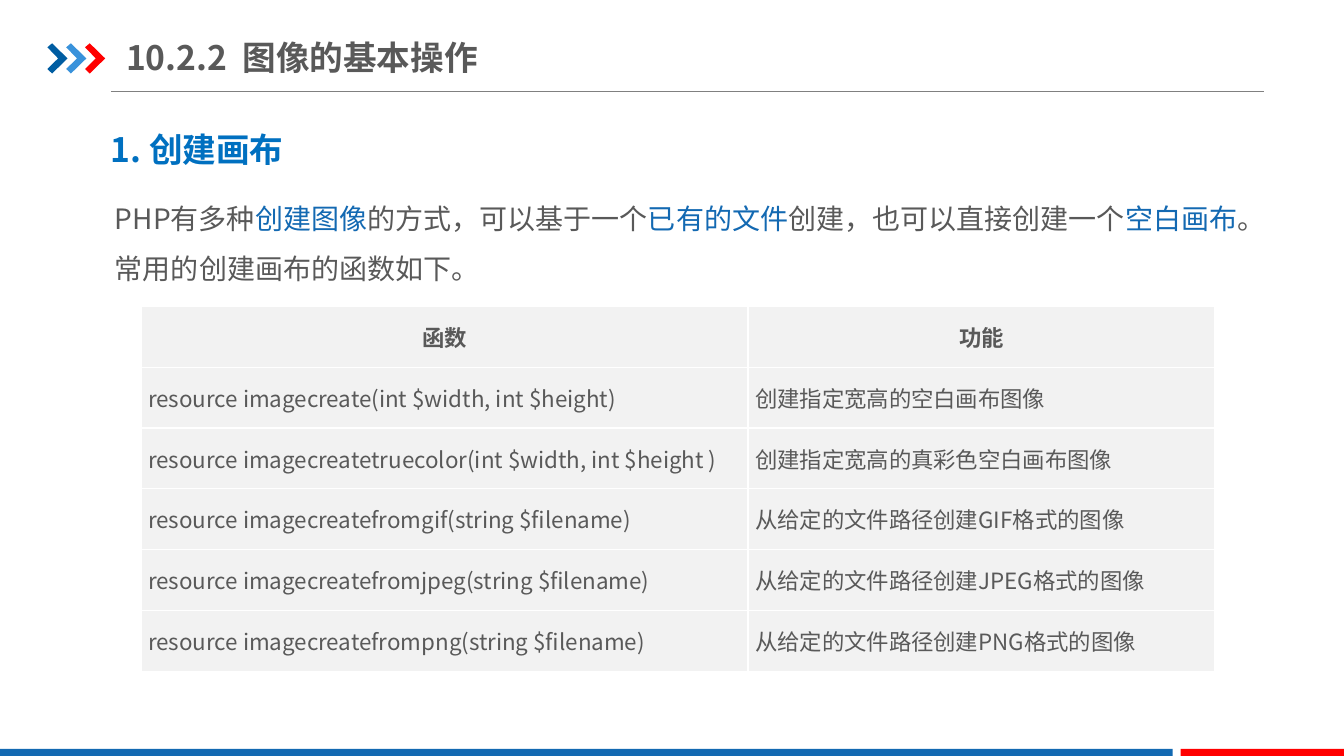
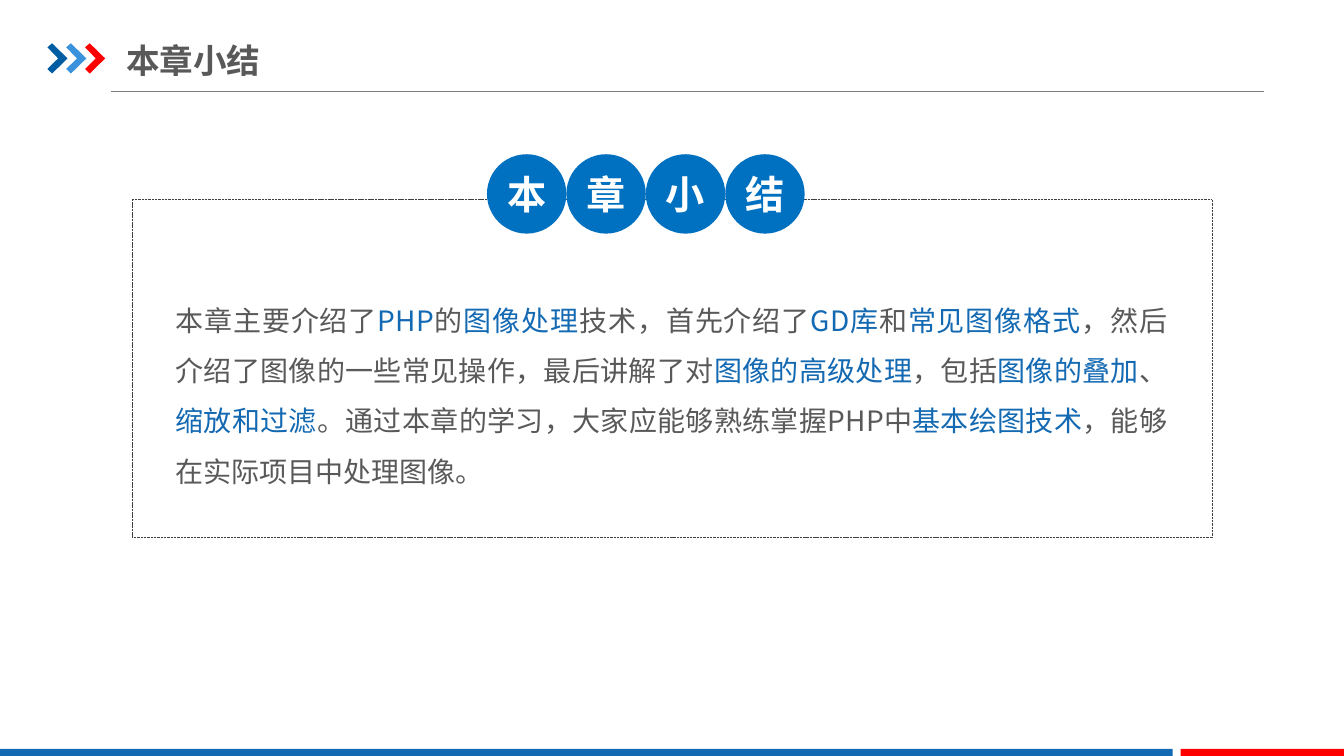
from lxml import etree
from pptx import Presentation
from pptx.dml.color import RGBColor
from pptx.enum.dml import MSO_LINE
from pptx.enum.shapes import MSO_CONNECTOR, MSO_SHAPE
from pptx.enum.text import MSO_ANCHOR, MSO_AUTO_SIZE, PP_ALIGN
from pptx.oxml.ns import qn
from pptx.util import Inches, Pt

LEFT, MID, JUST = PP_ALIGN.LEFT, PP_ALIGN.CENTER, PP_ALIGN.JUSTIFY
CENTRE, TOP = MSO_ANCHOR.MIDDLE, MSO_ANCHOR.TOP
RECT, OVAL = MSO_SHAPE.RECTANGLE, MSO_SHAPE.OVAL
FONT = "Noto Sans CJK SC"
HEX = {
    "text": "595959", "key": "1369B2", "head": "0070C0", "navy": "005DA2",
    "sky": "3992DB", "red": "FF0000", "rule": "808080", "frame": "404040",
    "cell": "F2F2F2", "white": "FFFFFF",
}
RGB = {name: RGBColor.from_string(code) for name, code in HEX.items()}

deck = Presentation()
deck.slide_width, deck.slide_height = Inches(13.33), Inches(7.5)
WIDE, HIGH = deck.slide_width, deck.slide_height


def box(left, top, width=0, height=0):
    """Turn percentages of the slide into lengths."""
    return [int(share * side / 100) for share, side in
            zip((left, top, width, height), (WIDE, HIGH, WIDE, HIGH))]


def write(frame, text, size, color="text", bold=False, align=LEFT, anchor=TOP, inset=None):
    """Fill a text frame; parts between bars take the key colour."""
    frame.word_wrap = True
    frame.vertical_anchor = anchor
    if inset:
        frame.margin_left, frame.margin_top = frame.margin_right, frame.margin_bottom = [
            Inches(gap) for gap in inset]
    para = frame.paragraphs[0]
    para.alignment = align
    for i, part in enumerate(text.split("|")):
        run = para.add_run()
        run.text = part
        font = run.font
        font.name, font.size, font.bold = FONT, Pt(size), bold
        font.color.rgb = RGB["key" if i % 2 else color]
        asian = etree.SubElement(run._r.get_or_add_rPr(), qn("a:ea"))
        asian.set("typeface", FONT)
    return para


# Slides with title and body text
PAGES = [
    ("10.2.2  图像的基本操作", (9.38, 3.87, 32, 7.33),
     "PHP有多种|创建图像|的方式，可以基于一个|已有的文件|创建，也可以直接创建一个"
     "|空白画布|。常用的创建画布的函数如下。",
     (7.8, 23.73, 85.37, 14.8), LEFT, (0.1, 0.05)),
    ("本章小结", (9.38, 4.8, 39.5, 6.4),
     "本章主要介绍了|PHP|的|图像处理|技术，首先介绍了|GD库|和|常见图像格式|，"
     "然后介绍了图像的一些常见操作，最后讲解了对|图像的高级处理|，包括|图像的叠加|、"
     "|缩放和过滤|。通过本章的学习，大家应能够熟练掌握PHP中|基本绘图技术|，"
     "能够在实际项目中处理图像。",
     (13.05, 37.87, 73.8, 26.93), JUST, (0, 0)),
]
layout = deck.slide_layouts[1]
for head, place, prose, area, align, inset in PAGES:
    slide = deck.slides.add_slide(layout)
    title, body = slide.placeholders
    for holder, spot in ((title, place), (body, area)):
        holder.left, holder.top, holder.width, holder.height = box(*spot)
        holder.text_frame.auto_size = MSO_AUTO_SIZE.NONE
    write(title.text_frame, head, 24, bold=True, anchor=CENTRE, inset=(0, 0.07))
    para = write(body.text_frame, prose, 20, align=align, inset=inset)
    props = para._p.get_or_add_pPr()
    props.set("marL", "0")
    props.set("indent", "0")
    etree.SubElement(props, qn("a:buNone"))
    para.line_spacing = 1.5
    para.space_before = Pt(0)
first, last = deck.slides

# Shared art: title rule, chevrons and foot bands, moved to the layout
left, top, right, base = box(8.25, 12.13, 94.05, 12.13)
rule = first.shapes.add_connector(MSO_CONNECTOR.STRAIGHT, left, top, right, base)
rule.line.color.rgb = RGB["rule"]
rule.line.width = Pt(0.75)
etree.SubElement(rule.element.spPr, qn("a:effectLst"))
art = [rule]

ARROW = [(0, 0.53), (0.35, 0), (1.5, 2), (0.35, 4), (0, 3.4), (0.8, 2)]
fills = []
for i, color in enumerate(("navy", "sky", "red")):
    dots = [box(3.53 + 1.4 * i + x, 5.73 + y)[:2] for x, y in ARROW]
    pen = first.shapes.build_freeform(*dots[0])
    pen.add_line_segments(dots[1:], close=True)
    fills.append((pen.convert_to_shape(), color))
for start, width, color in ((0, 87.25, "key"), (87.85, 12.15, "red")):
    band = first.shapes.add_shape(RECT, *box(start, 99.07, width, 0.93))
    fills.append((band, color))
for shape, color in fills:
    shape.shadow.inherit = False
    shape.fill.solid()
    shape.fill.fore_color.rgb = RGB[color]
    shape.line.fill.background()
    art.append(shape)
for i, shape in enumerate(art):
    shape.element.xpath(".//p:cNvPr")[0].set("id", str(20 + i))
    layout.shapes.element.append(shape.element)

# Section heading
label = first.shapes.add_textbox(*box(7.5, 16.4, 32.9, 6.7))
write(label.text_frame, "1. 创建画布", 24, "head", bold=True)

# Function table
ROWS = [
    ("函数", "功能"),
    ("resource imagecreate(int $width, int $height)", "创建指定宽高的空白画布图像"),
    ("resource imagecreatetruecolor(int $width, int $height )", "创建指定宽高的真彩色空白画布图像"),
    ("resource imagecreatefromgif(string $filename)", "从给定的文件路径创建GIF格式的图像"),
    ("resource imagecreatefromjpeg(string $filename)", "从给定的文件路径创建JPEG格式的图像"),
    ("resource imagecreatefrompng(string $filename)", "从给定的文件路径创建PNG格式的图像"),
]
table = first.shapes.add_table(len(ROWS), 2, *box(10.5, 40.53, 79.9, 48.27)).table
table.first_row = table.horz_banding = False
for col, share in zip(table.columns, (45.16, 34.74)):
    col.width = box(share, 0)[0]
for r, row in enumerate(ROWS):
    for c, text in enumerate(row):
        cell = table.cell(r, c)
        write(cell.text_frame, text, 16, bold=r == 0, align=JUST if r else MID)
        cell.vertical_anchor = CENTRE
        cell.margin_left = cell.margin_right = Inches(0.07)
        cell.margin_top = cell.margin_bottom = 0
        props = cell._tc.get_or_add_tcPr()
        for side in ("lnL", "lnR", "lnT", "lnB"):
            edge = etree.SubElement(props, qn("a:" + side), w=str(Pt(1)))
            paint = etree.SubElement(edge, qn("a:solidFill"))
            etree.SubElement(paint, qn("a:srgbClr"), val=HEX["white"])
        cell.fill.solid()
        cell.fill.fore_color.rgb = RGB["cell"]

# Summary frame
frame = last.shapes.add_shape(RECT, *box(9.83, 26.4, 80.35, 44.67))
frame.shadow.inherit = False
frame.fill.background()
frame.line.color.rgb = RGB["frame"]
frame.line.width = Pt(0.25)
frame.line.dash_style = MSO_LINE.SQUARE_DOT

# Summary discs
SIZE = 5.91
for i, sign in enumerate("本章小结"):
    disc = last.shapes.add_shape(OVAL, *box(36.23 + SIZE * i, 20.4, SIZE, SIZE * WIDE / HIGH))
    disc.shadow.inherit = False
    disc.fill.solid()
    disc.fill.fore_color.rgb = RGB["head"]
    disc.line.fill.background()
    write(disc.text_frame, sign, 28, "white", bold=True, align=MID, anchor=CENTRE, inset=(0, 0))

deck.save("out.pptx")
